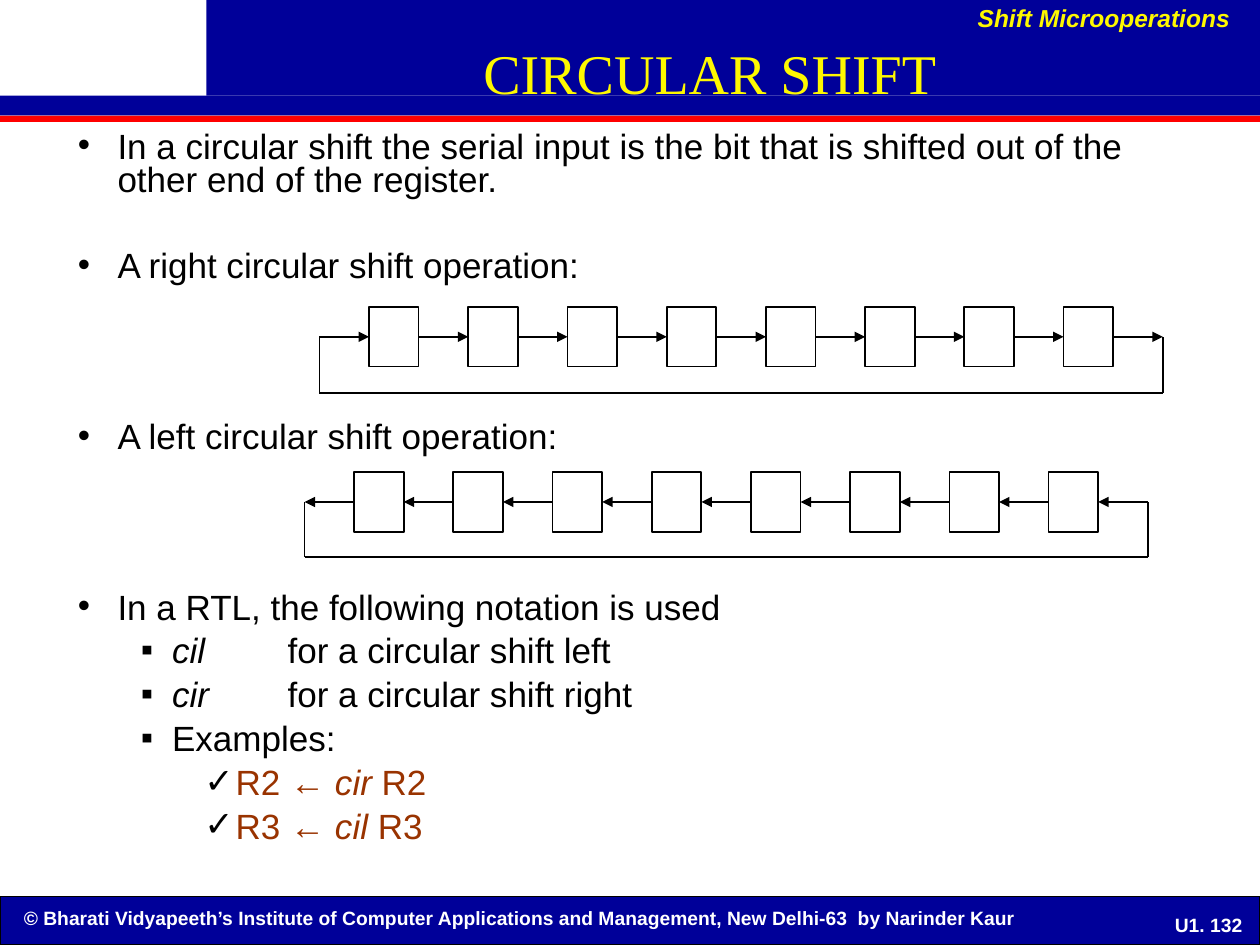
from lxml import etree
from pptx import Presentation
from pptx import util as u
from pptx.dml import color
from pptx.enum import shapes, text
from pptx.oxml import ns

colors = {"navy": "000099", "red": "FF0000", "yellow": "FEF800",
          "white": "FFFFFF", "black": "000000", "brown": "993300"}
rgb = {name: color.RGBColor.from_string(value) for name, value in colors.items()}

presentation = Presentation()
presentation.slide_width, presentation.slide_height = u.Cm(25.4), u.Cm(19.05)
slide = presentation.slides.add_slide(presentation.slide_layouts[6])


def add_rectangle(left, top, width, height, fill=None, line=None):
    shape = slide.shapes.add_shape(
        shapes.MSO_SHAPE.RECTANGLE, u.Cm(left), u.Cm(top), u.Cm(width), u.Cm(height))
    shape.shadow.inherit = False
    if fill:
        shape.fill.solid()
        shape.fill.fore_color.rgb = rgb[fill]
    else:
        shape.fill.background()
    if line:
        shape.line.color.rgb = rgb["black"]
        shape.line.width = u.Pt(line)
    else:
        shape.line.fill.background()


def add_wire(start, end, arrow=False):
    connector = slide.shapes.add_connector(
        shapes.MSO_CONNECTOR.STRAIGHT, *[u.Cm(value) for value in start + end])
    connector.line.color.rgb = rgb["black"]
    connector.line.width = u.Pt(1)
    if arrow:
        outline = connector.line._get_or_add_ln()
        etree.SubElement(outline, ns.qn("a:tailEnd"), type="triangle")
    properties = connector._element.spPr
    etree.SubElement(properties, ns.qn("a:effectLst"))


add_rectangle(0, 18.08, 25.4, 0.97, "navy", 0.75)
add_rectangle(0, 2.33, 25.4, 0.13, "red")
add_rectangle(4.16, 0, 21.24, 1.93, "navy")
add_rectangle(0, 1.93, 25.4, 0.4, "navy")

left_align, center, right = text.PP_ALIGN.LEFT, text.PP_ALIGN.CENTER, text.PP_ALIGN.RIGHT
top_anchor, middle = text.MSO_ANCHOR.TOP, text.MSO_ANCHOR.MIDDLE
labels = [
    ("© Bharati Vidyapeeth’s Institute of Computer Applications and Management, "
     "New Delhi-63  by Narinder Kaur",
     (0.23, 18.14, 23.32, 0.74), left_align, top_anchor, 11, "Arial", "white", True, False, 1),
    ("U1. 132", (23.4, 18.42, 1.93, 0.46), center, middle, 11, "Arial", "white", True, False, 1),
    ("CIRCULAR SHIFT", (4.5, 0.66, 19.63, 1.52), center, top_anchor, 32,
     "Times New Roman", "yellow", False, False, 1),
    ("Shift Microoperations", (19.46, 0, 5.59, 0.79), right, top_anchor, 14,
     "Arial", "yellow", True, True, 0.9),
]
for words, place, align, anchor, size, face, tint, bold, italic, spacing in labels:
    box = slide.shapes.add_textbox(*[u.Cm(value) for value in place])
    frame = box.text_frame
    frame.word_wrap = True
    frame.vertical_anchor = anchor
    paragraph = frame.paragraphs[0]
    paragraph.alignment = align
    paragraph.line_spacing = spacing
    run = paragraph.add_run()
    run.text = words
    run.font.size, run.font.name = u.Pt(size), face
    run.font.bold, run.font.italic = bold, italic
    run.font.color.rgb = rgb[tint]

levels = [("•", 0.8, 0.8, "black"), ("▪", 1.9, 0.63, "black"), ("✓", 3.18, 0.63, "brown")]
body = [
    (0, 0, [("In a circular shift the serial input is the bit that is shifted "
             "out of the other end of the register.", False)]),
    (0, 30, [("A right circular shift operation:", False)]),
    (0, 78.3, [("A left circular shift operation:", False)]),
    (0, 78.3, [("In a RTL, the following notation is used", False)]),
    (1, 5.8, [("cil\t", True), ("for a circular shift left", False)]),
    (1, 5.8, [("cir\t", True), ("for a circular shift right", False)]),
    (1, 5.8, [("Examples:", False)]),
    (2, 5.8, [("R2 ← ", False), ("cir", True), (" R2", False)]),
    (2, 5.8, [("R3 ← ", False), ("cil", True), (" R3", False)]),
]
box = slide.shapes.add_textbox(u.Cm(1.32), u.Cm(2.54), u.Cm(22.2), u.Cm(15.72))
frame = box.text_frame
frame.word_wrap = True
for index, (level, before, runs) in enumerate(body):
    paragraph = frame.paragraphs[0] if index == 0 else frame.add_paragraph()
    mark, margin, hanging, tint = levels[level]
    paragraph.level = level
    paragraph.line_spacing = 0.8
    paragraph.space_before = u.Pt(before)
    properties = paragraph._p.get_or_add_pPr()
    properties.set("marL", str(u.Cm(margin)))
    properties.set("indent", str(-u.Cm(hanging)))
    bullet_color = etree.SubElement(properties, ns.qn("a:buClr"))
    etree.SubElement(bullet_color, ns.qn("a:srgbClr"), val=colors["black"])
    etree.SubElement(properties, ns.qn("a:buFont"), typeface="Arial")
    etree.SubElement(properties, ns.qn("a:buChar"), char=mark)
    tabs = etree.SubElement(properties, ns.qn("a:tabLst"))
    etree.SubElement(tabs, ns.qn("a:tab"), pos=str(u.Cm(4.23)), algn="l")
    for words, italic in runs:
        run = paragraph.add_run()
        run.text = words
        run.font.size, run.font.name = u.Pt(20), "Arial"
        run.font.italic = italic
        run.font.color.rgb = rgb[tint]

bits, pitch, cell_width, cell_height = 8, 2, 1, 1.2
registers = [(6.44, 6.19, 7.92, True), (6.14, 9.52, 11.23, False)]
for start, top, bottom, shifts_right in registers:
    middle_height = top + cell_height / 2
    end = start + bits * pitch + cell_width
    for bit in range(bits + 1):
        gap = start + bit * pitch
        ends = [(gap, middle_height), (gap + cell_width, middle_height)]
        add_wire(*(ends if shifts_right else ends[::-1]), arrow=True)
        if bit < bits:
            add_rectangle(gap + cell_width, top, cell_width, cell_height, line=1)
    add_wire((start, bottom), (start, middle_height))
    add_wire((end, bottom), (end, middle_height))
    add_wire((start, bottom), (end, bottom))

presentation.save("out.pptx")
